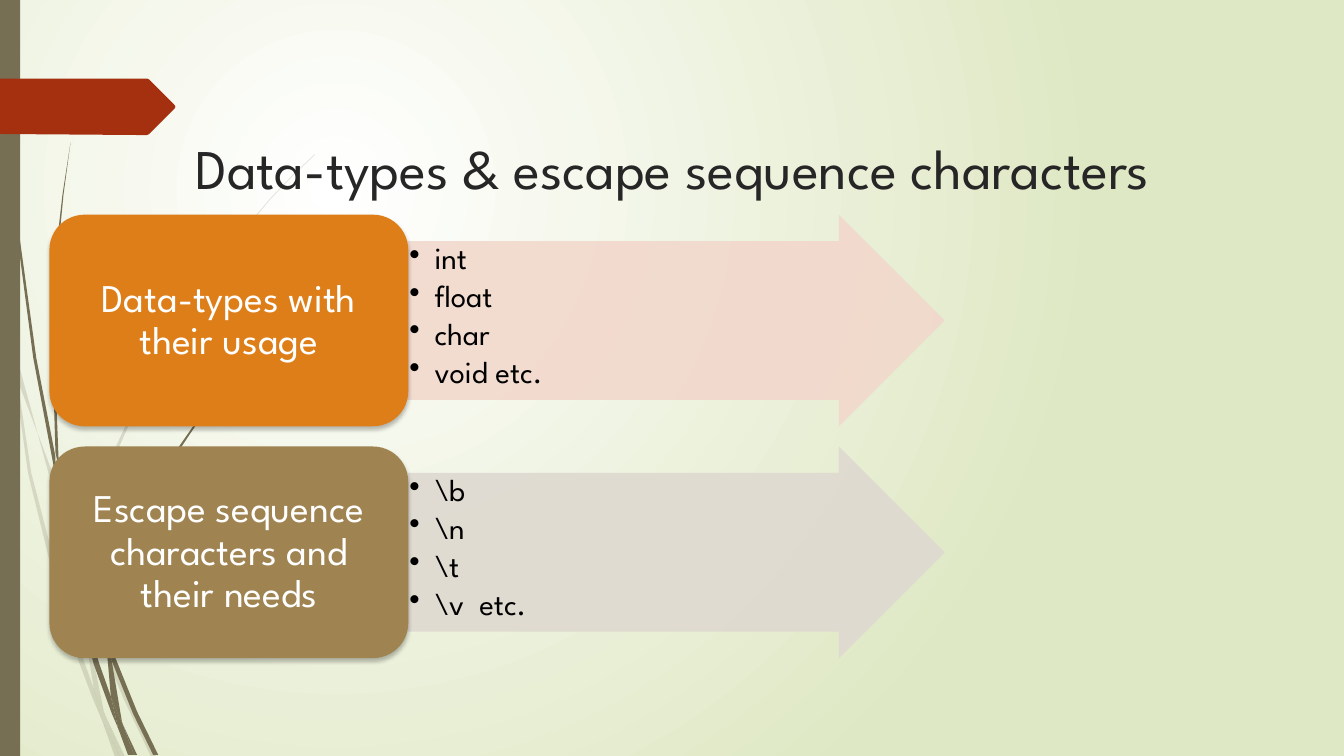
from lxml import etree
from pptx import Presentation
from pptx import util as u
from pptx.dml import color
from pptx.enum import shapes, text
from pptx.oxml import ns

HUES = {
    "white": "FFFFFF", "lime": "DFE8C4", "olive": "766F54", "red": "A53010",
    "ink": "262626", "black": "000000", "orange": "DE7E18", "tan": "9F8351",
    "blush": "F2D8CC", "stone": "DFD9D0",
}
FONT = "League Spartan"

PALE = [
    "11,350 9,322 0,282 0,299 10,344",
    "72,522 84,599 85,586 62,520 14,345 17,376",
    "92,607 88,596 88,610 123,694 150,751 155,751 127,692",
    "119,751 124,751 105,711",
    "93,683 70,619 31,469 17,376 11,350 28,470 65,621 92,693 101,714 99,707",
    "84,599 87,646 93,683 96,692 105,711 103,706 91,646 88,610 88,608",
    "88,584 110,462 160,349 229,245 268,198 290,175 312,154 312,153 289,175 "
    "268,197 228,244 158,348 107,461 85,584 85,586 88,596",
    "101,714 114,751 119,751",
    "96,692 93,683 99,707 101,714 119,751 105,711",
]
DARK = [
    "7,110 17,233 33,355 56,477 57,481 55,457 55,453 36,355 19,232 8,109 "
    "5,48 4,0 3,0 4,48",
    "113,649 110,641 111,656 132,708 152,749 157,749 136,706",
    "110,691 98,657 72,556 64,505 57,477 68,557 93,659 111,708 117,722 116,717",
    "60,472 58,453 54,349 58,245 63,193 70,141 62,193 56,245 52,349 55,449",
    "133,749 136,749 122,719",
    "111,633 125,552 158,476 205,406 231,374 245,359 261,344 260,344 245,358 "
    "231,373 204,405 156,474 122,551 106,631 110,641",
    "117,722 127,749 131,749",
    "106,645 110,691 116,706 122,719 121,716 111,656 109,651",
    "106,645 109,651 111,656 110,641 106,631 106,633",
    "116,706 110,691 116,717 117,722 130,749 133,749 122,719",
]
TAG = ("173,108 148,133 146,134 136,134 0,133 0,78 136,78 146,78 148,79 "
       "173,104 174,106")

ROWS = [
    ("Data-types with their usage", "orange", "blush",
     ["int", "float", "char", "void etc."]),
    ("Escape sequence characters and their needs", "tan", "stone",
     [r"\b", r"\n", r"\t", r"\v  etc."]),
]


class Deck:
    """Hold the style and the current slide."""

    def __init__(self):
        self.prs = Presentation()
        self.prs.slide_width = u.Inches(13.33)
        self.prs.slide_height = u.Inches(7.5)
        self.slide = self.prs.slides.add_slide(self.prs.slide_layouts[6])

    def hue(self, name):
        return color.RGBColor.from_string(HUES[name])

    def node(self, up, tag, **atts):
        return etree.SubElement(up, ns.qn(tag), atts)

    def apply(self, item, vals):
        for key, val in vals.items():
            setattr(item, key, val)

    def glow(self, mid, rim):
        fill = self.slide.background.fill
        fill.gradient()
        for stop, name, pos in zip(fill.gradient_stops, (mid, rim), (0, 1)):
            self.apply(stop, {"position": pos})
            stop.color.rgb = self.hue(name)
        grad = self.slide.element.find(".//" + ns.qn("a:gradFill"))
        for old in grad.findall(ns.qn("a:lin")):
            grad.remove(old)
        ring = self.node(grad, "a:path", path="circle")
        self.node(ring, "a:fillToRect", l="50000", t="50000", r="100000", b="100000")

    def paint(self, shape, name, clear=100):
        shape.shadow.inherit = False
        shape.fill.solid()
        shape.fill.fore_color.rgb = self.hue(name)
        shape.line.fill.background()
        if clear < 100:
            tint = shape.element.spPr.find(".//" + ns.qn("a:srgbClr"))
            self.node(tint, "a:alpha", val=str(clear * 1000))

    def form(self, outline, name, clear=100):
        pts = [tuple(map(int, pair.split(","))) for pair in outline.split()]
        pen = self.slide.shapes.build_freeform(*pts[0], scale=u.Inches(0.01))
        pen.add_line_segments(pts[1:], close=True)
        self.paint(pen.convert_to_shape(), name, clear)

    def block(self, kind, box, name, clear=100):
        shape = self.slide.shapes.add_shape(kind, *map(u.Inches, box))
        self.paint(shape, name, clear)
        return shape

    def shade(self, shape):
        fx = shape.element.spPr.find(ns.qn("a:effectLst"))
        cast = self.node(fx, "a:outerShdw", blurRad=str(u.Pt(3)), dist=str(u.Pt(2)),
                         dir="5400000", algn="ctr", rotWithShape="0")
        tint = self.node(cast, "a:srgbClr", val=HUES["black"])
        self.node(tint, "a:alpha", val="25000")

    def words(self, shape, lines, size, name, frame, para, dot=False):
        body = shape.text_frame
        self.apply(body, {"word_wrap": True, **frame})
        for i, line in enumerate(lines):
            par = body.add_paragraph() if i else body.paragraphs[0]
            self.apply(par, para)
            run = par.add_run()
            run.text = line
            self.apply(run.font, {"name": FONT, "size": u.Pt(size)})
            run.font.color.rgb = self.hue(name)
            if dot:
                props = par._p.get_or_add_pPr()
                props.set("marL", str(u.Inches(0.25)))
                props.set("indent", str(u.Inches(-0.25)))
                self.node(props, "a:buChar", char="•")

    def title(self, line, box):
        shape = self.slide.shapes.add_textbox(*map(u.Inches, box))
        self.words(shape, [line], 40, "ink",
                   {"vertical_anchor": text.MSO_ANCHOR.TOP},
                   {"alignment": text.PP_ALIGN.CENTER})

    def pads(self, wide, high):
        return {"margin_left": u.Inches(wide), "margin_right": u.Inches(wide),
                "margin_top": u.Inches(high), "margin_bottom": u.Inches(high)}

    def arrow(self, box, name, lines):
        shape = self.block(shapes.MSO_SHAPE.RIGHT_ARROW, box, name, 90)
        shape.adjustments[0] = 0.75
        self.words(shape, lines, 22, "black",
                   {"vertical_anchor": text.MSO_ANCHOR.TOP, **self.pads(0.02, 0.02)},
                   {"alignment": text.PP_ALIGN.LEFT, "line_spacing": 0.9,
                    "space_after": u.Pt(3.3)}, dot=True)

    def card(self, box, name, line):
        shape = self.block(shapes.MSO_SHAPE.ROUNDED_RECTANGLE, box, name)
        self.shade(shape)
        self.words(shape, [line], 28, "white",
                   {"vertical_anchor": text.MSO_ANCHOR.MIDDLE, **self.pads(0.12, 0.06)},
                   {"alignment": text.PP_ALIGN.CENTER, "line_spacing": 0.9})


def main():
    deck = Deck()
    deck.glow("white", "lime")
    for stems, clear in ((PALE, 20), (DARK, 100)):
        for stem in stems:
            deck.form(stem, "olive", clear)
    deck.block(shapes.MSO_SHAPE.RECTANGLE, (0, 0, 0.2, 7.5), "olive")
    deck.form(TAG, "red")
    deck.title("Data-types & escape sequence characters", (0.49, 1.28, 12.36, 0.75))
    for i, (head, main_hue, soft_hue, items) in enumerate(ROWS):
        top = 2.13 + 2.3 * i
        deck.arrow((4.04, top, 5.33, 2.1), soft_hue, items)
        deck.card((0.49, top, 3.56, 2.1), main_hue, head)
    deck.prs.save("out.pptx")


if __name__ == "__main__":
    main()
